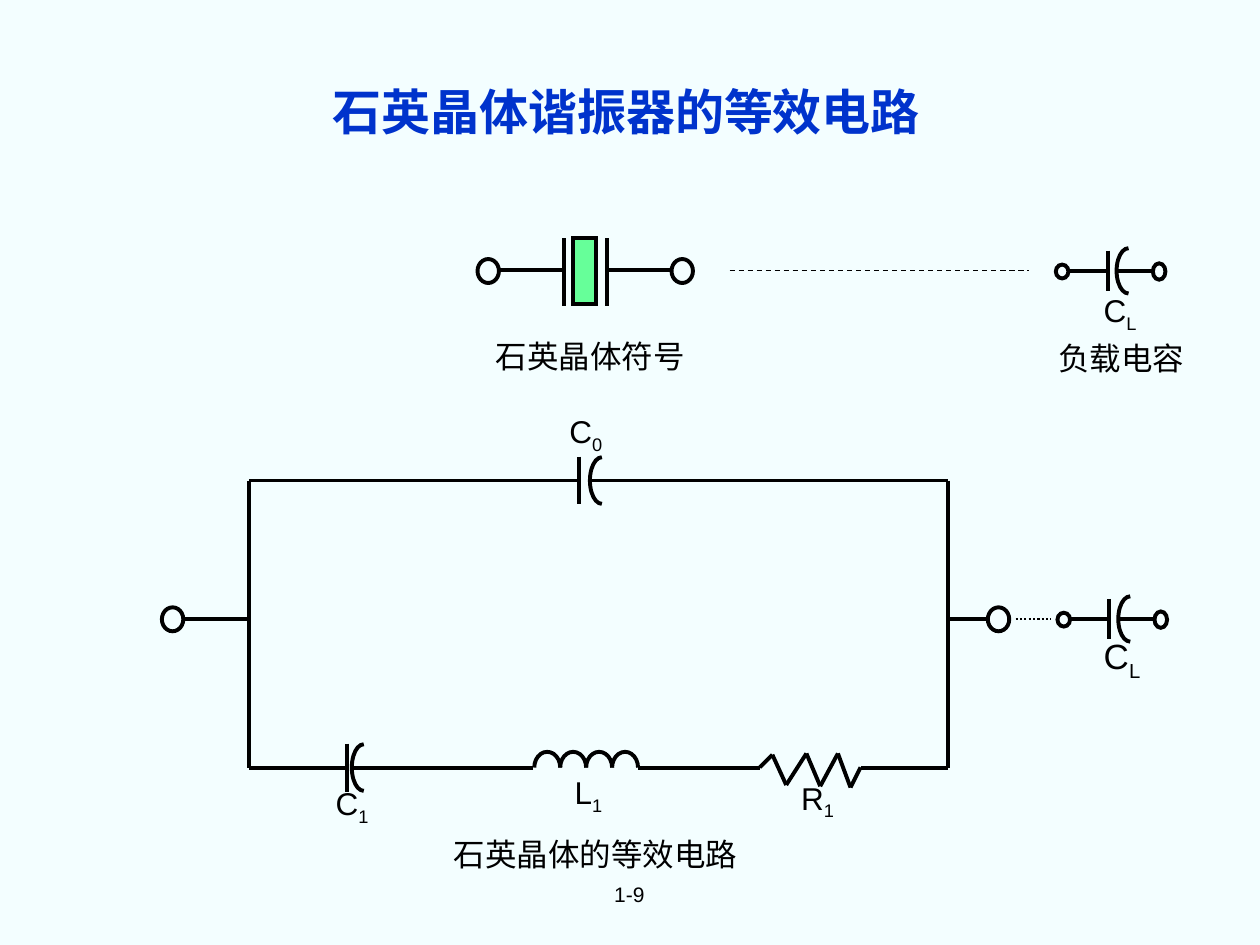
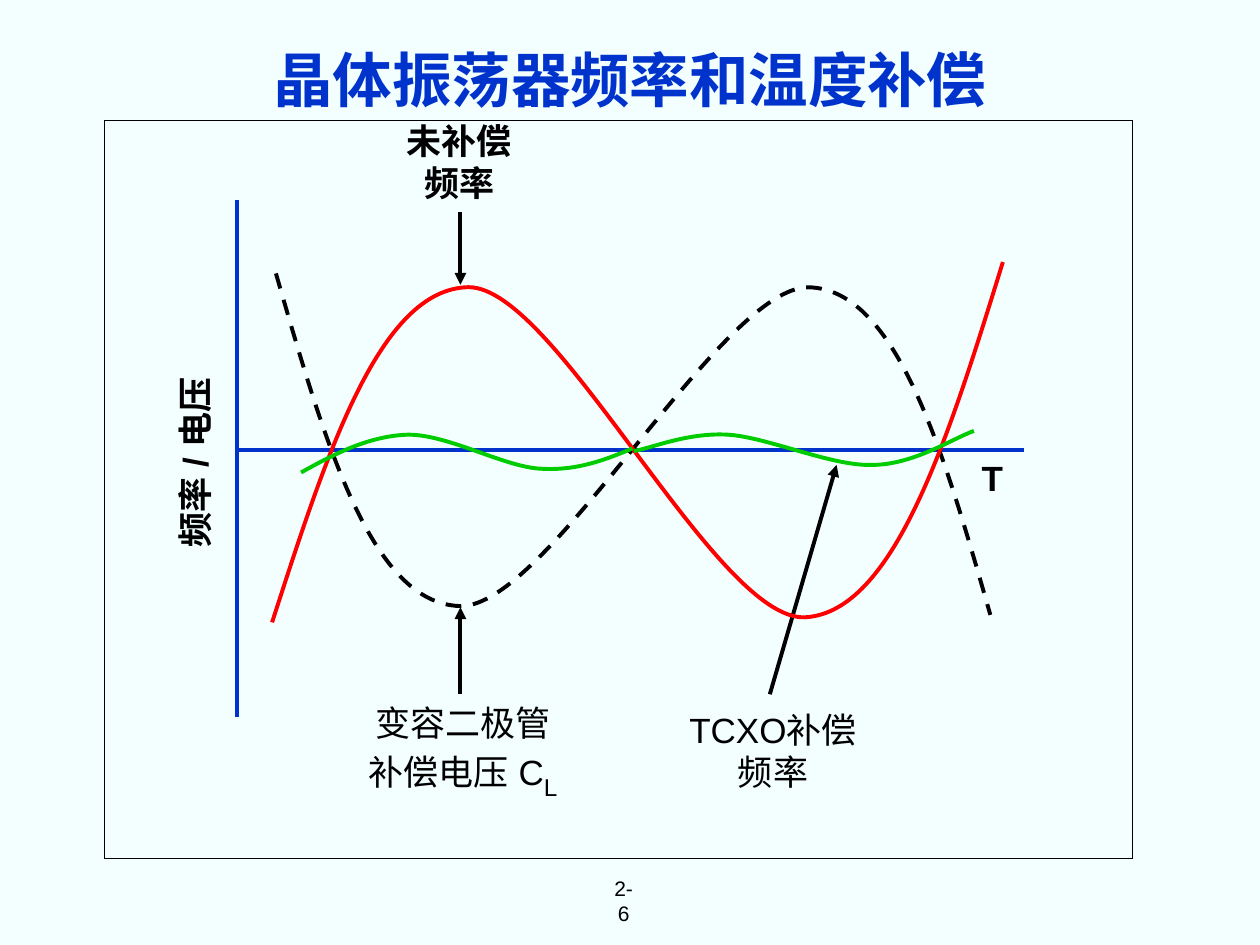
"""Build two slides on the quartz crystal: equivalent circuit and temperature compensation."""
from itertools import pairwise

from lxml.etree import SubElement
from pptx import Presentation
from pptx.dml.color import RGBColor
from pptx.enum.dml import MSO_LINE as DASH
from pptx.enum.shapes import MSO_CONNECTOR, MSO_SHAPE as SHAPE
from pptx.enum.text import MSO_ANCHOR, PP_ALIGN
from pptx.oxml.ns import qn
from pptx.util import Inches, Pt

BACKGROUND = RGBColor(0xF3, 0xFE, 0xFF)
BLACK = RGBColor(0, 0, 0)
BLUE = RGBColor(0x00, 0x33, 0xCC)
RED = RGBColor(0xFF, 0, 0)
GREEN = RGBColor(0, 0xCC, 0)
CRYSTAL = RGBColor(0x66, 0xFF, 0x99)
LATIN, HAN = "Arial", "Noto Sans CJK SC"
WIDTH, HEIGHT = Inches(10), Inches(7.5)
CELL = WIDTH / 1000
THICK, THIN = 2.25, 0.75
TOP, MIDDLE, BOTTOM, SYMBOL = 381.4, 491, 609.2, 214.6
LEFT, RIGHT = 197.6, 752.2
LEFT_HALF, TOP_HALF = (54, 162), (108, 0)

CIRCUIT_TITLE = ("石英晶体谐振器的等效电路", (72, 41, 850, 94), 28, HAN)
CIRCUIT_LABELS = [
    ("石英晶体符号", (373, 262.5, 191, 40), 18, HAN),
    ("负载电容", (830, 264, 120, 40), 18, HAN),
    ("石英晶体的等效电路", (350, 658, 245, 40), 18, HAN),
    ("C_L", (866, 226, 46, 44), 18, LATIN),
    ("C_L", (866, 498.5, 49, 48), 20, LATIN),
    ("C_0", (442, 322, 46, 44), 18, LATIN),
    ("C_1", (256.5, 617.5, 46, 44), 18, LATIN),
    ("L_1", (446, 608.5, 42, 44), 18, LATIN),
    ("R_1", (626, 613, 46, 44), 18, LATIN),
    ("1-9", (461, 694, 77, 31), 12, LATIN),
]
TERMINALS = [(379, SYMBOL), (533, SYMBOL), (128.5, MIDDLE), (784, MIDDLE)]
WIRES = [
    (396, SYMBOL, 448, SYMBOL), (533, SYMBOL, 482, SYMBOL),
    (145, MIDDLE, LEFT, MIDDLE), (RIGHT, MIDDLE, 784, MIDDLE),
    (LEFT, TOP, LEFT, BOTTOM), (RIGHT, TOP, RIGHT, BOTTOM),
    (LEFT, TOP, 460, TOP), (469, TOP, RIGHT, TOP),
    (LEFT, BOTTOM, 275, BOTTOM), (279, BOTTOM, 423, BOTTOM),
    (506, BOTTOM, 603, BOTTOM), (683, BOTTOM, RIGHT, BOTTOM),
]
CRYSTAL_PLATES = (447.7, 482)
CAPACITORS = [(459.7, TOP, 8.5), (275.2, BOTTOM, 4)]
LOADS = [(838, 215), (839.3, 491.3)]
RESISTOR = [(603, 609), (613, 599), (624, 623), (640, 598),
            (651, 624), (665, 598), (675, 625), (683, 609)]
COIL_START, COIL_TURNS, COIL_PITCH, COIL_DEPTH = 424, 4, 20.6, 25

CURVE_TITLE = ("晶体振荡器频率和温度补偿", (0, 0, 1000, 125), 34, LATIN)
PLOT = (83, 95.4, 816, 586)
AXES = [(188.2, 158.4, 188.2, 569), (188, 357.2, 813, 357.2)]
ARROWS = [(611, 551, 664, 369), (365.4, 168, 365.4, 226), (365.4, 551, 365.4, 482)]
CURVE_LABELS = [
    ("TCXO补偿\n频率", (534, 557, 159, 77), False, 0),
    ("变容二极管\n补偿电压 C_L", (223, 552, 289, 89), False, 0),
    ("频率 / 电压", (71, 345, 166, 44), True, 270),
    ("未补偿\n频率", (313, 90, 103, 77), True, 0),
    ("T", (769, 357, 37, 44), True, 0),
]
CURVES = [
    (BLACK, DASH.DASH, [(219, 217), (257, 348), (294, 479), (365, 481), (435, 483),
                        (572, 227), (642, 228), (712, 230), (749, 359), (786, 488)]),
    (RED, None, [(216, 494), (259, 361), (301, 229), (372, 228), (442, 228),
                 (568, 493), (639, 490), (710, 486), (753, 347), (796, 208)]),
    (GREEN, None, [(239, 375), (266, 360), (293, 346), (324, 345), (356, 345),
                   (399, 370), (428, 372), (458, 374), (480, 365), (502, 356)]),
    (GREEN, None, [(503, 358), (516, 356), (546, 343), (578, 345), (609, 347),
                   (660, 370), (692, 369), (725, 369), (756, 348), (773, 342)]),
]


def grid(*cells):
    return [round(c * CELL) for c in cells]


def style_line(line, color=BLACK, width=THICK, dash=None):
    line.color.rgb = color
    line.width = Pt(width)
    if dash:
        line.dash_style = dash


def add_line(slide, ends, color=BLACK, width=THICK, dash=None, arrow=False):
    line = slide.shapes.add_connector(MSO_CONNECTOR.STRAIGHT, *grid(*ends))
    style_line(line.line, color, width, dash)
    props = line._element.spPr
    if arrow:
        SubElement(props.find(qn("a:ln")), qn("a:tailEnd"), type="triangle")
    SubElement(props, qn("a:effectLst"))


def add_outline(slide, kind, box, fill=None, width=THICK):
    sp = slide.shapes.add_shape(kind, *grid(*box))
    sp.shadow.inherit = False
    if fill:
        sp.fill.solid()
        sp.fill.fore_color.rgb = fill
    else:
        sp.fill.background()
    style_line(sp.line, width=width)
    SubElement(sp._element.spPr.find(qn("a:ln")), qn("a:miter"), lim="800000")
    return sp


def add_arc(slide, box, angles):
    sp = add_outline(slide, SHAPE.ARC, box)
    sp.adjustments[0], sp.adjustments[1] = angles


def add_curve(slide, color, dash, nodes):
    start, *rest = [grid(*node) for node in nodes]
    builder = slide.shapes.build_freeform(*start, scale=1.0)
    builder.add_line_segments(rest, close=False)
    sp = builder.convert_to_shape()
    sp.shadow.inherit = False
    sp.fill.background()
    style_line(sp.line, color, dash=dash)
    outline = sp._element.spPr.find(".//" + qn("a:path"))
    segments = outline.findall(qn("a:lnTo"))
    for k in range(0, len(segments), 3):
        cubic = SubElement(outline, qn("a:cubicBezTo"))
        for segment in segments[k:k + 3]:
            cubic.append(segment[0])
            outline.remove(segment)


def add_text(slide, text, box, size, font, color=BLACK, bold=False, turn=0, sub_size=None):
    sp = slide.shapes.add_textbox(*grid(*box))
    sp.rotation = turn
    tf = sp.text_frame
    tf.word_wrap = False
    tf.margin_left = tf.margin_right = tf.margin_top = tf.margin_bottom = 0
    tf.vertical_anchor = MSO_ANCHOR.MIDDLE
    for i, row in enumerate(text.split("\n")):
        p = tf.paragraphs[0] if i == 0 else tf.add_paragraph()
        p.alignment = PP_ALIGN.CENTER
        for n, part in enumerate(row.split("_")):
            r = p.add_run()
            r.text = part
            r.font.size = Pt(sub_size if n and sub_size else size)
            r.font.name = font
            r.font.bold = bold
            r.font.color.rgb = color
            props = r._r.get_or_add_rPr()
            SubElement(props, qn("a:ea"), typeface=font)
            if n:
                props.set("baseline", "-25000")


def add_capacitor(slide, x, y, gap, plate=19, bow=18.5):
    add_line(slide, (x, y - plate, x, y + plate))
    add_arc(slide, (x + gap, y - bow, 19, 2 * bow), LEFT_HALF)


def add_load(slide, x, y):
    add_outline(slide, SHAPE.OVAL, (x, y - 5, 10, 11))
    add_line(slide, (x + 10, y, x + 41, y))
    add_capacitor(slide, x + 41.2, y, 7, 16, 18)
    add_line(slide, (x + 48, y, x + 77, y))
    add_outline(slide, SHAPE.OVAL, (x + 77, y - 6, 10, 13))


def new_slide(prs, title):
    slide = prs.slides.add_slide(prs.slide_layouts[6])
    slide.background.fill.solid()
    slide.background.fill.fore_color.rgb = BACKGROUND
    add_text(slide, *title, color=BLUE, bold=True)
    return slide


def build_circuit(prs):
    slide = new_slide(prs, CIRCUIT_TITLE)
    for x, y in TERMINALS:
        add_outline(slide, SHAPE.OVAL, (x, y - 9, 17, 19))
    for wire in WIRES:
        add_line(slide, wire)
    for x in CRYSTAL_PLATES:
        add_line(slide, (x, 189, x, 243))
    add_outline(slide, SHAPE.RECTANGLE, (455, 189, 18, 52.5), CRYSTAL)
    for capacitor in CAPACITORS:
        add_capacitor(slide, *capacitor)
    for load in LOADS:
        add_load(slide, *load)
    for start, end in pairwise(RESISTOR):
        add_line(slide, start + end)
    for turn in range(COIL_TURNS):
        add_arc(slide, (COIL_START + turn * COIL_PITCH, BOTTOM - COIL_DEPTH / 2,
                        COIL_PITCH, COIL_DEPTH), TOP_HALF)
    add_line(slide, (579, SYMBOL, 817, SYMBOL), width=THIN, dash=DASH.DASH)
    add_line(slide, (806, MIDDLE, 834, MIDDLE), width=1.25, dash=DASH.ROUND_DOT)
    for label in CIRCUIT_LABELS:
        add_text(slide, *label)


def build_curves(prs):
    slide = new_slide(prs, CURVE_TITLE)
    add_outline(slide, SHAPE.RECTANGLE, PLOT, width=THIN)
    for axis in AXES:
        add_line(slide, axis, BLUE)
    for arrow in ARROWS:
        add_line(slide, arrow, arrow=True)
    for curve in CURVES:
        add_curve(slide, *curve)
    for text, box, bold, turn in CURVE_LABELS:
        add_text(slide, text, box, 20, LATIN, bold=bold, turn=turn, sub_size=24)
    add_text(slide, "2-6", (483, 705, 24, 20), 12, LATIN)


def main():
    prs = Presentation()
    prs.slide_width, prs.slide_height = WIDTH, HEIGHT
    build_circuit(prs)
    build_curves(prs)
    prs.save("out.pptx")


if __name__ == "__main__":
    main()
